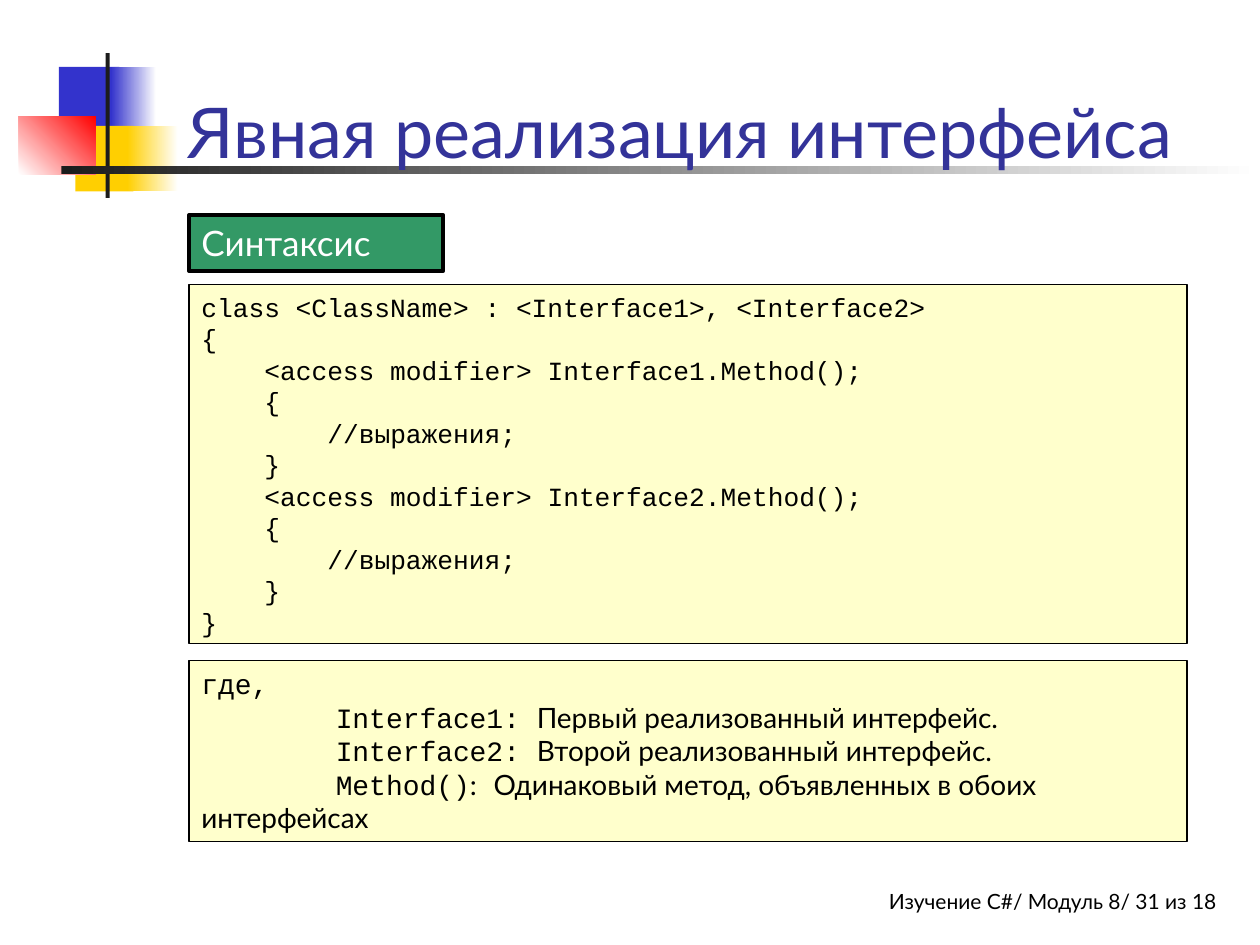
from dataclasses import dataclass

from pptx import Presentation
from pptx.dml.color import RGBColor
from pptx.enum.shapes import MSO_SHAPE as Preset
from pptx.enum.text import MSO_ANCHOR as Anchor, PP_ALIGN as Align
from pptx.util import Cm, Pt


@dataclass(frozen=True)
class Theme:
    blue: str = "3333CC"
    yellow: str = "FFCF01"
    red: str = "FF0000"
    dark: str = "1C1C1C"
    white: str = "FFFFFF"
    black: str = "000000"
    heading: str = "333399"
    green: str = "339966"
    cream: str = "FFFFCC"
    body_font: str = "Lato"
    code_font: str = "Courier New"
    title_size: int = 40
    label_size: int = 20
    terms_size: int = 16
    code_size: int = 15
    footer_size: int = 12


THEME = Theme()
PANEL_LEFT, PANEL_WIDTH = 3.81, 20.12
CODE_INDENT, TERM_INDENT = 1.27, 2.71

ORNAMENT = [
    (1.19, 1.35, 1.22, 1.32, [THEME.blue], 0),
    (2.24, 1.35, 0.91, 1.32, [THEME.blue, THEME.white], 0),
    (1.52, 2.54, 1.17, 1.32, [THEME.yellow], 0),
    (2.57, 2.54, 1.02, 1.32, [THEME.yellow, THEME.white], 0),
    (0.38, 2.34, 1.55, 1.17, [THEME.white, THEME.red], 45),
    (2.13, 1.07, 0.08, 2.92, [THEME.dark], 0),
    (1.24, 3.35, 24.16, 0.15, [THEME.dark, THEME.white], 0),
]

METHOD_BLOCK = [(1, "{"), (2, "//выражения;"), (1, "}")]
SYNTAX = [
    (0, "class <ClassName> : <Interface1>, <Interface2>"),
    (0, "{"),
    (1, "<access modifier> Interface1.Method();"),
    *METHOD_BLOCK,
    (1, "<access modifier> Interface2.Method();"),
    *METHOD_BLOCK,
    (0, "}"),
]
TERMS = [
    ("Interface1: ", "Первый реализованный интерфейс."),
    ("Interface2: ", "Второй реализованный интерфейс."),
    ("Method()", ":", " ", "Одинаковый метод, объявленных в обоих интерфейсах"),
]


def rgb(color):
    return RGBColor.from_string(color)


def apply_format(target, values):
    for name, value in values.items():
        setattr(target, name, value)


def add_block(slide, left, top, width, height, colors, angle=0):
    block = slide.shapes.add_shape(
        Preset.RECTANGLE, Cm(left), Cm(top), Cm(width), Cm(height))
    block.shadow.inherit = False
    block.line.fill.background()
    if len(colors) == 1:
        block.fill.solid()
        block.fill.fore_color.rgb = rgb(colors[0])
    else:
        block.fill.gradient()
        block.fill.gradient_angle = angle
        for stop, color in zip(block.fill.gradient_stops, colors):
            stop.color.rgb = rgb(color)
    return block


def add_panel(slide, top, width, height, color, border):
    panel = add_block(slide, PANEL_LEFT, top, width, height, [color])
    panel.line.color.rgb = rgb(THEME.black)
    panel.line.width = Pt(border)
    return prepare_frame(panel, Anchor.TOP)


def add_text_area(slide, left, top, width, height, anchor):
    area = slide.shapes.add_textbox(Cm(left), Cm(top), Cm(width), Cm(height))
    return prepare_frame(area, anchor)


def prepare_frame(holder, anchor):
    frame = holder.text_frame
    apply_format(frame, {
        "word_wrap": True, "vertical_anchor": anchor,
        "margin_left": Cm(0.25), "margin_right": Cm(0.25),
        "margin_top": Cm(0.13), "margin_bottom": Cm(0.13),
    })
    return frame


def write_line(line, parts, size, color, align=Align.LEFT, **indents):
    line.alignment = align
    for name, length in indents.items():
        line._p.get_or_add_pPr().set(name, str(Cm(length)))
    for text, font in parts:
        run = line.add_run()
        run.text = text
        apply_format(run.font, {"name": font, "size": Pt(size)})
        run.font.color.rgb = rgb(color)


def add_syntax(slide):
    frame = add_panel(slide, 5.74, PANEL_WIDTH, 7.24, THEME.cream, 0.75)
    for number, (level, text) in enumerate(SYNTAX):
        line = frame.add_paragraph() if number else frame.paragraphs[0]
        write_line(line, [(text, THEME.code_font)], THEME.code_size,
                   THEME.black, marL=level * CODE_INDENT, indent=0)


def add_terms(slide):
    frame = add_panel(slide, 13.31, PANEL_WIDTH, 3.66, THEME.cream, 0.75)
    write_line(frame.paragraphs[0], [("где,", THEME.code_font)],
               THEME.terms_size, THEME.black)
    fonts = (THEME.code_font, THEME.body_font) * 2
    for term in TERMS:
        write_line(frame.add_paragraph(), zip(term, fonts), THEME.terms_size,
                   THEME.black, marL=0, indent=TERM_INDENT)


def main():
    deck = Presentation()
    apply_format(deck, {"slide_width": Cm(25.4), "slide_height": Cm(19.05)})
    slide = deck.slides.add_slide(deck.slide_layouts[6])

    footer = add_text_area(slide, 11.63, 17.78, 12.9, 0.84, Anchor.TOP)
    footer.margin_right = Cm(0)
    write_line(footer.paragraphs[0],
               [("Изучение C#/ Модуль 8/ 31 из 18", THEME.body_font)],
               THEME.footer_size, THEME.black, Align.RIGHT)

    for block in ORNAMENT:
        add_block(slide, *block)

    title = add_text_area(slide, 3.53, 0.43, 21.64, 3.18, Anchor.BOTTOM)
    write_line(title.paragraphs[0],
               [("Явная реализация интерфейса", THEME.body_font)],
               THEME.title_size, THEME.heading)

    label = add_panel(slide, 4.34, 5.13, 1.12, THEME.green, 2.25)
    write_line(label.paragraphs[0], [("Синтаксис", THEME.body_font)],
               THEME.label_size, THEME.white)

    add_syntax(slide)
    add_terms(slide)
    deck.save("out.pptx")


if __name__ == "__main__":
    main()
